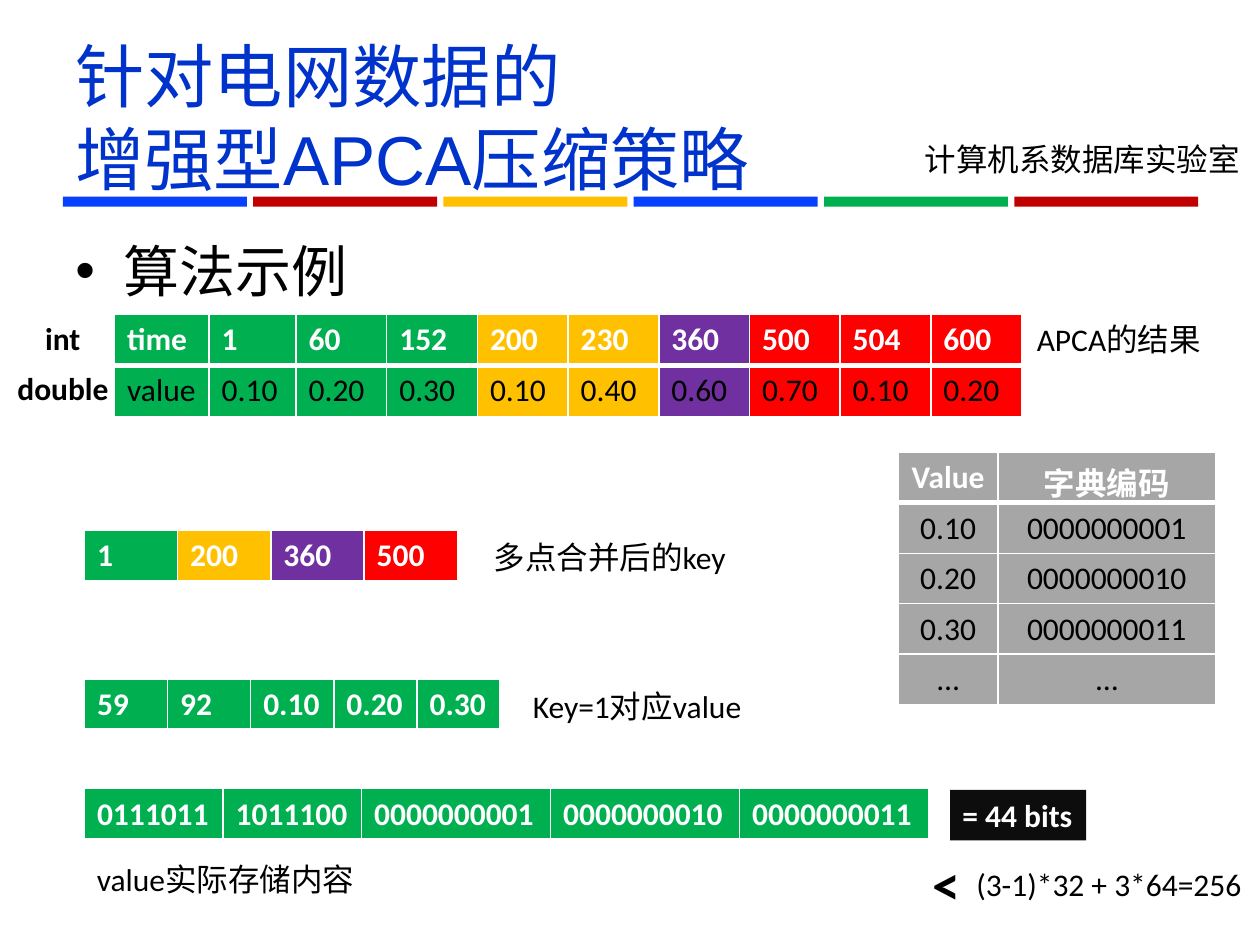
from lxml import etree
from pptx import Presentation
from pptx.dml.color import RGBColor
from pptx.enum.shapes import MSO_SHAPE
from pptx.enum.text import MSO_ANCHOR, PP_ALIGN
from pptx.oxml.ns import qn
from pptx.util import Inches, Pt

RECT = MSO_SHAPE.RECTANGLE
TOP, MIDDLE = MSO_ANCHOR.TOP, MSO_ANCHOR.MIDDLE
LEFT, CENTER = PP_ALIGN.LEFT, PP_ALIGN.CENTER

THEME = {
    "blue": "0541FF", "title": "0033CC", "red": "C00000", "hot": "FF0000",
    "gold": "FFC000", "green": "00B050", "purple": "7030A0", "gray": "A6A6A6",
    "ink": "0D0D0D", "black": "000000", "white": "FFFFFF",
    "head_font": "Arial", "body_font": "Calibri",
    "title_size": 39.6, "bullet_size": 32, "size": 18,
}

# Content
STRIPES = ["blue", "red", "gold", "blue", "green", "red"]
TITLE = "针对电网数据的\v增强型APCA压缩策略"
LAB = "计算机系数据库实验室"
BULLET = "算法示例"

APCA_COLORS = ["green"] * 4 + ["gold"] * 2 + ["purple"] + ["hot"] * 3
KEY_COLORS = ["green", "gold", "purple", "hot"]
# left, top, column widths, row height, column colours, alignment, rows
TABLES = [
    (0.91, 2.49, [0.75, 0.69] + [0.72] * 8, 0.41, APCA_COLORS, LEFT, [
        ["time", "1", "60", "152", "200", "230", "360", "500", "504", "600"],
        ["value", "0.10", "0.20", "0.30", "0.10", "0.40", "0.60", "0.70",
         "0.10", "0.20"]]),
    (0.67, 4.21, [0.74] * 4, 0.41, KEY_COLORS, LEFT,
     [["1", "200", "360", "500"]]),
    (0.67, 5.39, [0.66] * 5, 0.41, ["green"] * 5, LEFT,
     [["59", "92", "0.10", "0.20", "0.30"]]),
    (0.67, 6.26, [1.1] * 2 + [1.5] * 3, 0.41, ["green"] * 5, LEFT,
     [["0111011", "1011100", "0000000001", "0000000010", "0000000011"]]),
    (7.13, 3.59, [0.79, 1.73], 0.4, ["gray"] * 2, CENTER, [
        ["Value", "字典编码"],
        ["0.10", "0000000001"],
        ["0.20", "0000000010"],
        ["0.30", "0000000011"],
        ["…", "…"]]),
]

# text, box, format
LABELS = [
    (LAB, (7.24, 1.06, 2.83, 0.4), {}),
    ("APCA的结果", (8.13, 2.49, 1.51, 0.4), {"wrap": True}),
    ("多点合并后的key", (3.82, 4.22, 2.06, 0.4), {"wrap": True}),
    ("Key=1对应value", (4.13, 5.4, 1.88, 0.4), {"wrap": True}),
    ("value实际存储内容", (0.67, 6.78, 2.27, 0.4), {"wrap": True}),
    ("<", (7.3, 6.69, 0.43, 0.64), {"size": 32, "bold": True}),
    ("int", (0.26, 2.48, 0.48, 0.4), {"bold": True}),
    ("double", (0.04, 2.88, 0.93, 0.4), {"bold": True}),
    ("(3-1)*32 + 3*64=256", (7.65, 6.82, 2.33, 0.4), {}),
]


def rgb(name):
    return RGBColor.from_string(THEME[name])


def write(tf, text, size=THEME["size"], font=THEME["body_font"],
          color="black", bold=False, align=LEFT, wrap=None):
    """Put text in a frame and return its paragraph."""
    if wrap is not None:
        tf.word_wrap = wrap
    p = tf.paragraphs[0]
    p.text = text
    p.alignment = align
    for r in p.runs:
        r.font.size, r.font.name, r.font.bold = Pt(size), font, bold
        r.font.color.rgb = rgb(color)
    return p


def add_text(s, text, box, anchor=TOP, wrap=False, **fmt):
    tf = s.shapes.add_textbox(*map(Inches, box)).text_frame
    tf.vertical_anchor = anchor
    return write(tf, text, wrap=wrap, **fmt)


def add_rect(s, box, color):
    sp = s.shapes.add_shape(RECT, *map(Inches, box))
    sp.shadow.inherit = False
    sp.fill.solid()
    sp.fill.fore_color.rgb = rgb(color)
    sp.line.fill.background()
    return sp


def set_borders(cell, bottom):
    """White cell borders, 1 pt except for the bottom one."""
    tc_pr = cell._tc.get_or_add_tcPr()
    widths = {"lnL": 1, "lnR": 1, "lnT": 1, "lnB": bottom}
    for i, (tag, width) in enumerate(widths.items()):
        ln = etree.Element(qn("a:" + tag), w=str(Pt(width)))
        fill = etree.SubElement(ln, qn("a:solidFill"))
        etree.SubElement(fill, qn("a:srgbClr"), val=THEME["white"])
        tc_pr.insert(i, ln)


def add_table(s, left, top, widths, row_h, colors, align, rows):
    box = (left, top, sum(widths), row_h * len(rows))
    table = s.shapes.add_table(len(rows), len(widths),
                               *map(Inches, box)).table
    for col, width in zip(table.columns, widths):
        col.width = Inches(width)
    for i, row in enumerate(rows):
        table.rows[i].height = Inches(row_h)
        head = i == 0
        for j, text in enumerate(row):
            cell = table.cell(i, j)
            cell.fill.solid()
            cell.fill.fore_color.rgb = rgb(colors[j])
            set_borders(cell, 3 if head else 1)
            write(cell.text_frame, text, bold=head, align=align,
                  color="white" if head else "black")


def main():
    prs = Presentation()
    prs.slide_width, prs.slide_height = Inches(10), Inches(7.5)
    s = prs.slides.add_slide(prs.slide_layouts[6])

    # Stripes under the title
    for i, color in enumerate(STRIPES):
        add_rect(s, (0.5 + 1.51 * i, 1.56, 1.46, 0.08), color)

    # Title and bullet
    add_text(s, TITLE, (0.5, 0.3, 9, 1.25), anchor=MIDDLE, wrap=True,
             size=THEME["title_size"], font=THEME["head_font"], color="title")
    p = add_text(s, BULLET, (0.5, 1.83, 9, 4.87), wrap=True,
                 size=THEME["bullet_size"], font=THEME["head_font"])
    p.space_before = Pt(6.4)
    p_pr = p._p.get_or_add_pPr()
    p_pr.set("marL", str(Inches(0.38)))
    p_pr.set("indent", str(Inches(-0.38)))
    etree.SubElement(p_pr, qn("a:buFont"), typeface=THEME["head_font"])
    etree.SubElement(p_pr, qn("a:buChar"), char="•")

    # Tables
    for table in TABLES:
        add_table(s, *table)

    # Total size badge and labels
    badge = add_rect(s, (7.54, 6.27, 1.08, 0.4), "ink")
    write(badge.text_frame, "= 44 bits", color="white", bold=True, wrap=False)
    for text, box, fmt in LABELS:
        add_text(s, text, box, **fmt)

    prs.save("out.pptx")


if __name__ == "__main__":
    main()
